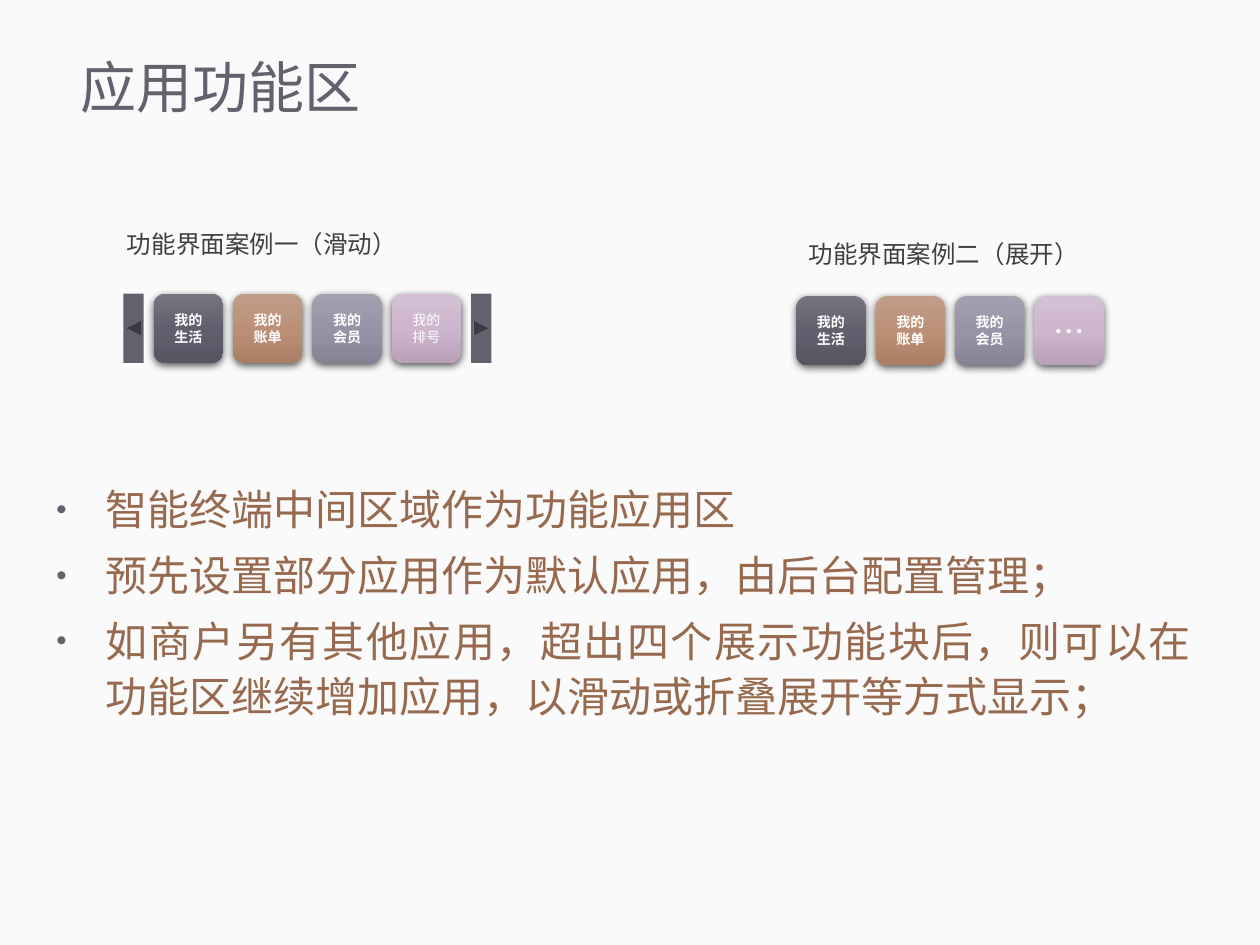
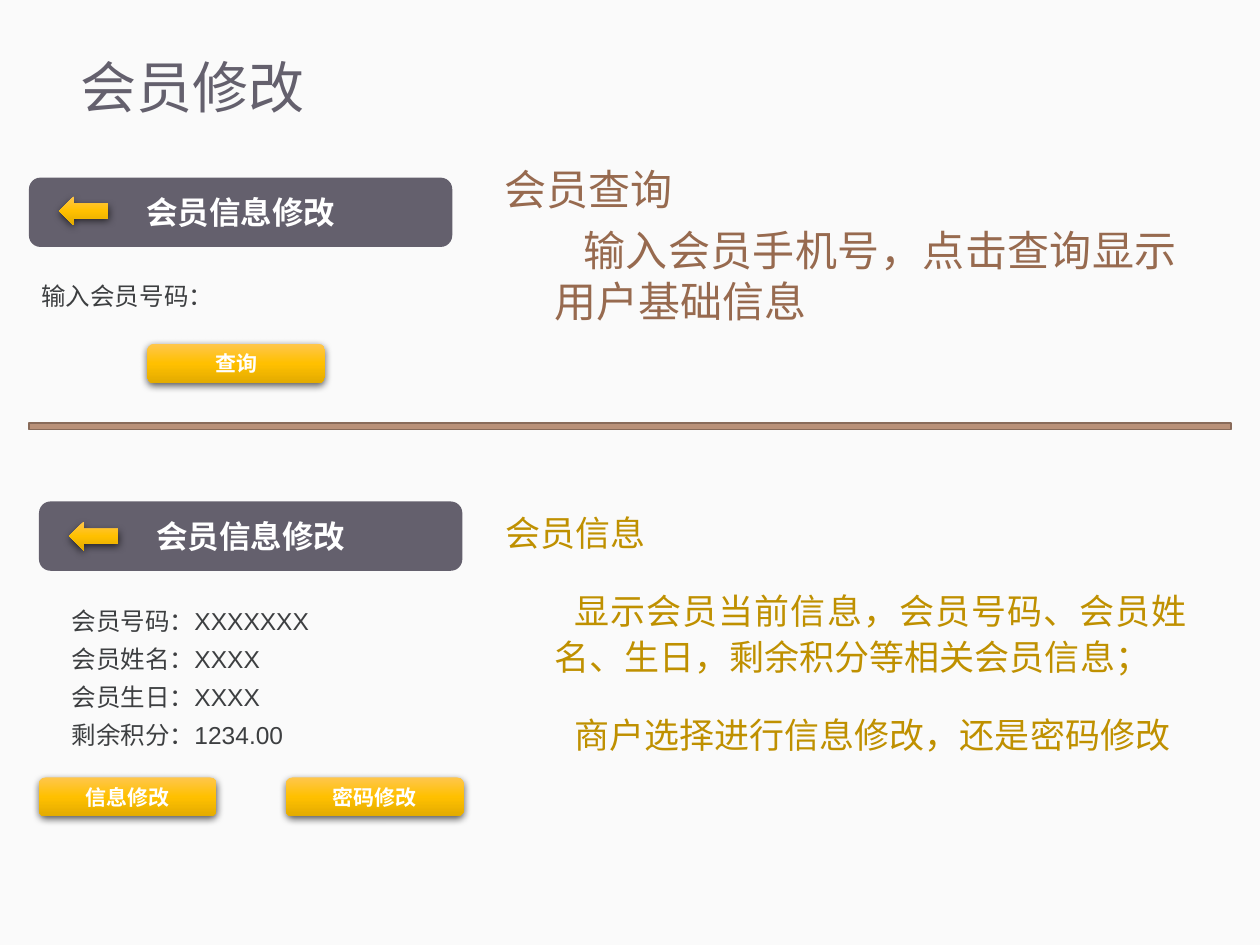
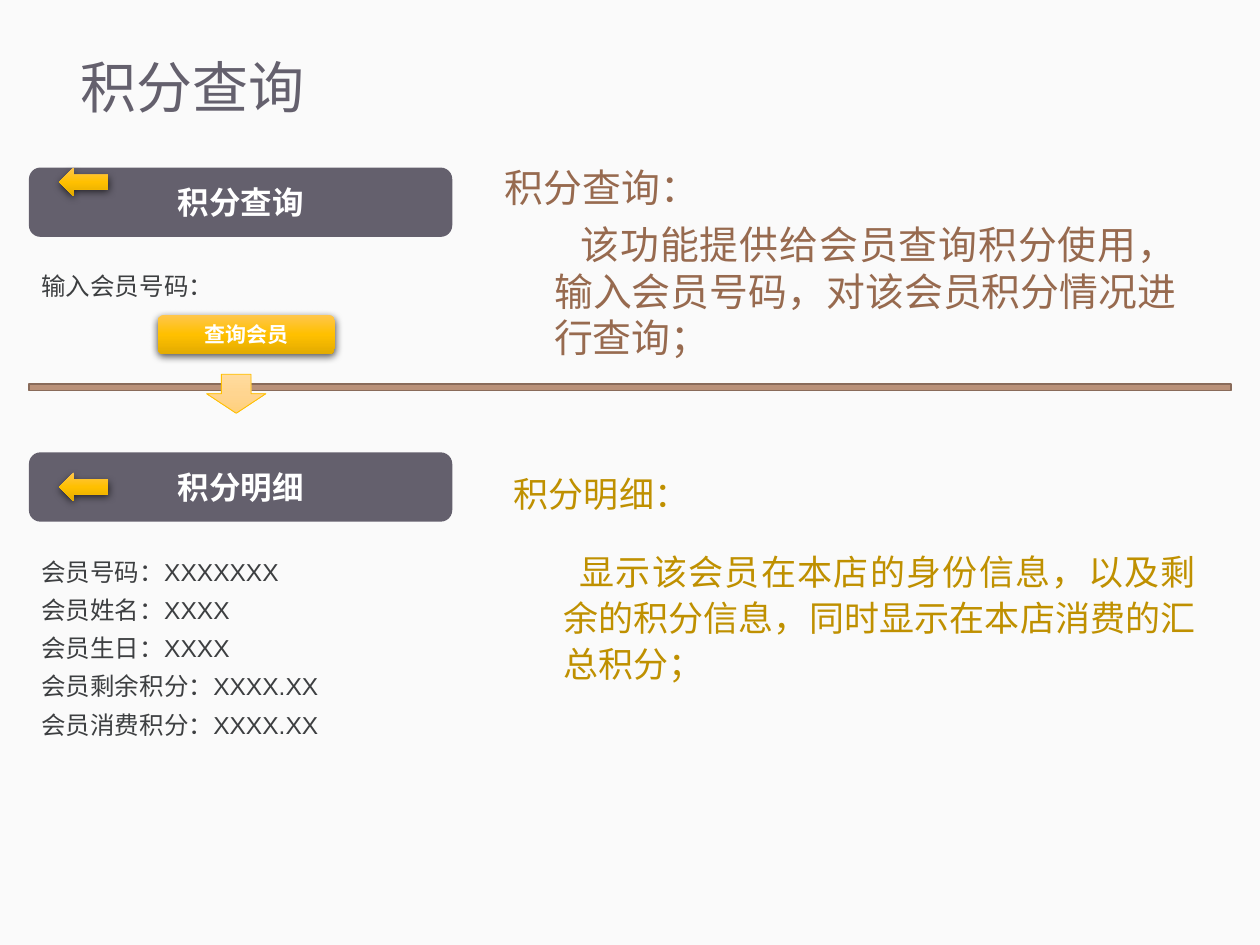
from pptx import Presentation
from pptx.dml.color import RGBColor
from pptx.enum.shapes import MSO_SHAPE
from pptx.enum.text import MSO_ANCHOR, PP_ALIGN
from pptx.oxml import parse_xml
from pptx.oxml.ns import nsdecls, qn
from pptx.util import Inches, Pt

SLIDE_W, SLIDE_H = 10, 7.5
ROUND, RECT = MSO_SHAPE.ROUNDED_RECTANGLE, MSO_SHAPE.RECTANGLE
LEFT_ARROW, DOWN_ARROW = MSO_SHAPE.LEFT_ARROW, MSO_SHAPE.DOWN_ARROW
BACK, FORWARD = MSO_SHAPE.ACTION_BUTTON_BACK_OR_PREVIOUS, MSO_SHAPE.ACTION_BUTTON_FORWARD_OR_NEXT
TOP, MIDDLE = MSO_ANCHOR.TOP, MSO_ANCHOR.MIDDLE
CENTER, JUSTIFY = PP_ALIGN.CENTER, PP_ALIGN.JUSTIFY

VEIL = RGBColor(0xF9, 0xF9, 0xF9)
WHITE = RGBColor(0xFF, 0xFF, 0xFF)
SLATE = RGBColor(0x64, 0x60, 0x6D)
INK = RGBColor(0x3D, 0x3F, 0x41)
BROWN = RGBColor(0x97, 0x6A, 0x4F)
GOLD = RGBColor(0xBF, 0x90, 0x00)
BAR_FILL = RGBColor(0xB9, 0x91, 0x79)
BAR_EDGE = RGBColor(0x89, 0x6B, 0x5A)
AMBER = RGBColor(0xFF, 0xC0, 0x00)

# Gradients run from top to bottom: start, middle, end
SLATE_GRAD = ["77747F", "645F6E", "585462"]
BROWN_GRAD = ["C19D89", "BC9076", "AB7F65"]
LILAC_GRAD = ["A4A0B0", "9993A7", "878295"]
PINK_GRAD = ["D4C0D4", "CEB6CE", "B9A0B9"]
AMBER_GRAD = ["FFC64B", "FFC000", "E3AB00"]
PALE_GRAD = ["FFDB9E", "FFD590", "FFD07C"]

CJK, LATIN = "Noto Sans CJK SC", "Arial"
TITLE = dict(size=Pt(32), name=CJK, color=SLATE)
BULLET = dict(size=Pt(24), name=CJK, color=BROWN)
LABEL = dict(size=Pt(14), name=LATIN, color=INK)
NOTE = dict(size=Pt(20), name=LATIN, color=GOLD)
BANNER = dict(size=Pt(18), name=CJK, color=WHITE, bold=True)
BUTTON = dict(BANNER, size=Pt(12))
TILE = dict(BANNER, size=Pt(8))
TILE_PLAIN = dict(TILE, bold=False)
TILE_MORE = dict(TILE_PLAIN, size=Pt(18))

HANG = 0.39
TILE_SIZE, TILE_PITCH, ARROW_W = 0.55, 0.63, 0.16
BANNER_W, BANNER_H = 3.36, 0.55
BUTTON_W, BUTTON_H = 1.41, 0.31

COMMON_TILES = [
    (["我的", "生活"], SLATE_GRAD, TILE),
    (["我的", "账单"], BROWN_GRAD, TILE),
    (["我的", "会员"], LILAC_GRAD, TILE),
]
# caption, caption left and top, tiles left and top, last tile
TILE_ROWS = [
    ("功能界面案例一（滑动）", (0.91, 1.7), (1.22, 2.33), (["我的", "排号"], PINK_GRAD, TILE_PLAIN)),
    ("功能界面案例二（展开）", (6.32, 1.78), (6.32, 2.35), (["…"], PINK_GRAD, TILE_MORE)),
]
RULES = [
    "智能终端中间区域作为功能应用区",
    "预先设置部分应用作为默认应用，由后台配置管理；",
    "如商户另有其他应用，超出四个展示功能块后，则可以在功能区继续增加应用，以滑动或折叠展开等方式显示；",
]

# banners: text, left, top, drop of the arrow
# fields: lines, box; buttons: text, left, top
# notes: box, format, spacing, first-line indent, heading, paragraphs
MEMBER_SCREENS = [
    dict(
        title="会员修改",
        bar_top=3.36,
        banners=[("会员信息修改", 0.23, 1.41, 0.15), ("会员信息修改", 0.31, 3.98, 0.16)],
        fields=[
            (["输入会员号码："], (0.23, 2.11, 3.36, 1.33)),
            (["会员号码：XXXXXXX", "会员姓名：XXXX", "会员生日：XXXX", "剩余积分：1234.00"],
             (0.47, 4.69, 3.2, 1.94)),
        ],
        buttons=[("查询", 1.17, 2.73), ("信息修改", 0.31, 6.17), ("密码修改", 2.27, 6.17)],
        notes=[
            ((3.91, 1.25, 5.53, 1.41), BULLET, dict(space_before=Pt(6)), 0.23,
             "会员查询", ["输入会员手机号，点击查询显示用户基础信息"]),
            ((3.91, 3.98, 5.61, 2.19), NOTE, dict(space_before=Pt(18), line_spacing=1.1), 0.16,
             "会员信息", ["显示会员当前信息，会员号码、会员姓名、生日，剩余积分等相关会员信息；",
                      "商户选择进行信息修改，还是密码修改"]),
        ],
    ),
    dict(
        title="积分查询",
        bar_top=3.05,
        down_arrow=(1.64, 2.97, 0.47, 0.31),
        banners=[("积分查询", 0.23, 1.33, 0), ("积分明细", 0.23, 3.59, 0.16)],
        fields=[
            (["输入会员号码："], (0.23, 2.03, 3.36, 1.33)),
            (["会员号码：XXXXXXX", "会员姓名：XXXX", "会员生日：XXXX",
              "会员剩余积分：XXXX.XX", "会员消费积分：XXXX.XX"], (0.23, 4.3, 3.36, 2.25)),
        ],
        buttons=[("查询会员", 1.25, 2.5)],
        notes=[
            ((3.91, 1.25, 5.53, 1.72), dict(BULLET, size=Pt(22.2)), dict(space_before=Pt(6)), 0.21,
             "积分查询：", ["该功能提供给会员查询积分使用，输入会员号码，对该会员积分情况进行查询；"]),
            ((3.98, 3.67, 5.61, 2.81), NOTE, dict(space_before=Pt(18), line_spacing=1.1), 0.13,
             "积分明细：", ["显示该会员在本店的身份信息，以及剩余的积分信息，同时显示在本店消费的汇总积分；"]),
        ],
    ),
]


def set_indent(p, left, first):
    pPr = p._p.get_or_add_pPr()
    pPr.set("marL", str(Inches(left)))
    pPr.set("indent", str(Inches(first)))


def add_bullet(p):
    pPr = p._p.get_or_add_pPr()
    for xml in (f'<a:buClr {nsdecls("a")}><a:srgbClr val="{SLATE}"/></a:buClr>',
                f'<a:buSzPct {nsdecls("a")} val="70000"/>',
                f'<a:buFont {nsdecls("a")} typeface="{LATIN}"/>',
                f'<a:buChar {nsdecls("a")} char="•"/>'):
        pPr.append(parse_xml(xml))


def write(sp, lines, font, anchor=TOP, **para):
    """Fill a shape with one paragraph a line and return the paragraphs."""
    tf = sp.text_frame
    tf.word_wrap = True
    tf.vertical_anchor = anchor
    for i, line in enumerate(lines):
        p = tf.add_paragraph() if i else tf.paragraphs[0]
        for key, value in para.items():
            setattr(p, key, value)
        r = p.add_run()
        r.text = line
        for key, value in font.items():
            if key == "color":
                r.font.color.rgb = value
            else:
                setattr(r.font, key, value)
        r._r.get_or_add_rPr().append(parse_xml(f'<a:ea {nsdecls("a")} typeface="{CJK}"/>'))
    return tf.paragraphs


def add_text(slide, box, lines, font, **para):
    return write(slide.shapes.add_textbox(*map(Inches, box)), lines, font, **para)


def add_box(slide, kind, box, fill, line=None, shadow=False):
    """Add a preset shape; a list as fill makes a vertical gradient."""
    sp = slide.shapes.add_shape(kind, *map(Inches, box))
    if isinstance(fill, list):
        stops = "".join(f'<a:gs pos="{i * 50000}"><a:srgbClr val="{c}"/></a:gs>'
                        for i, c in enumerate(fill))
        sp._element.spPr.find(qn("a:prstGeom")).addnext(parse_xml(
            f'<a:gradFill {nsdecls("a")} rotWithShape="1"><a:gsLst>{stops}</a:gsLst>'
            '<a:lin ang="5400000" scaled="0"/></a:gradFill>'))
    else:
        sp.fill.solid()
        sp.fill.fore_color.rgb = fill
    if line:
        sp.line.color.rgb, sp.line.width = line
    else:
        sp.line.fill.background()
    sp.shadow.inherit = False
    if shadow:
        sp._element.spPr.find(qn("a:effectLst")).append(parse_xml(
            f'<a:outerShdw {nsdecls("a")} blurRad="{Pt(4.5)}" dist="{Pt(1.5)}" dir="5400000" '
            'algn="ctr" rotWithShape="0"><a:srgbClr val="000000"><a:alpha val="63000"/>'
            '</a:srgbClr></a:outerShdw>'))
    return sp


def new_slide(prs, title):
    slide = prs.slides.add_slide(prs.slide_layouts[6])
    veil = add_box(slide, RECT, (0, 0, SLIDE_W, SLIDE_H), VEIL)
    veil._element.spPr.find(qn("a:solidFill"))[0].append(
        parse_xml(f'<a:alpha {nsdecls("a")} val="80000"/>'))
    add_text(slide, (0.54, 0.21, 8.98, 1.02), [title], TITLE, anchor=MIDDLE, line_spacing=0.9)
    return slide


def add_banner(slide, text, left, top, arrow_drop):
    sp = add_box(slide, ROUND, (left, top, BANNER_W, BANNER_H), SLATE)
    write(sp, [text], BANNER, MIDDLE, alignment=CENTER)
    add_box(slide, LEFT_ARROW, (left + 0.24, top + arrow_drop, 0.39, 0.23), AMBER_GRAD, shadow=True)


def add_note(slide, box, font, spacing, first_indent, heading, paragraphs):
    head, *rest = add_text(slide, box, [heading, *paragraphs], font, alignment=JUSTIFY, **spacing)
    set_indent(head, HANG, -HANG)
    for p in rest:
        set_indent(p, HANG, first_indent)


def build_function_area(prs):
    slide = new_slide(prs, "应用功能区")
    for p in add_text(slide, (0.35, 3.75, 9.2, 3.31), RULES, BULLET, alignment=JUSTIFY,
                      line_spacing=1.1, space_before=Pt(6)):
        set_indent(p, HANG, -HANG)
        add_bullet(p)
    for caption, caption_at, (left, top), last_tile in TILE_ROWS:
        add_text(slide, (*caption_at, 2.44, 0.41), [caption], LABEL, line_spacing=1.3)
        for i, (lines, grad, font) in enumerate(COMMON_TILES + [last_tile]):
            box = (left + i * TILE_PITCH, top, TILE_SIZE, TILE_SIZE)
            sp = add_box(slide, ROUND, box, grad, shadow=True)
            write(sp, lines, font, MIDDLE, alignment=CENTER)
    left, top = TILE_ROWS[0][2]
    for kind, x in ((BACK, left - 0.24), (FORWARD, left + 4 * TILE_PITCH)):
        add_box(slide, kind, (x, top, ARROW_W, TILE_SIZE), SLATE)


def build_member_screen(prs, screen):
    slide = new_slide(prs, screen["title"])
    margin = 0.23
    add_box(slide, RECT, (margin, screen["bar_top"], SLIDE_W - 2 * margin, 0.05),
            BAR_FILL, (BAR_EDGE, Pt(1)))
    if "down_arrow" in screen:
        add_box(slide, DOWN_ARROW, screen["down_arrow"], PALE_GRAD, (AMBER, Pt(0.5)))
    for banner in screen["banners"]:
        add_banner(slide, *banner)
    for lines, box in screen["fields"]:
        add_text(slide, box, lines, LABEL, line_spacing=1.3)
    for text, left, top in screen["buttons"]:
        sp = add_box(slide, ROUND, (left, top, BUTTON_W, BUTTON_H), AMBER_GRAD, shadow=True)
        write(sp, [text], BUTTON, MIDDLE, alignment=CENTER)
    for note in screen["notes"]:
        add_note(slide, *note)


def main():
    prs = Presentation()
    prs.slide_width, prs.slide_height = Inches(SLIDE_W), Inches(SLIDE_H)
    build_function_area(prs)
    for screen in MEMBER_SCREENS:
        build_member_screen(prs, screen)
    prs.save("out.pptx")


if __name__ == "__main__":
    main()
